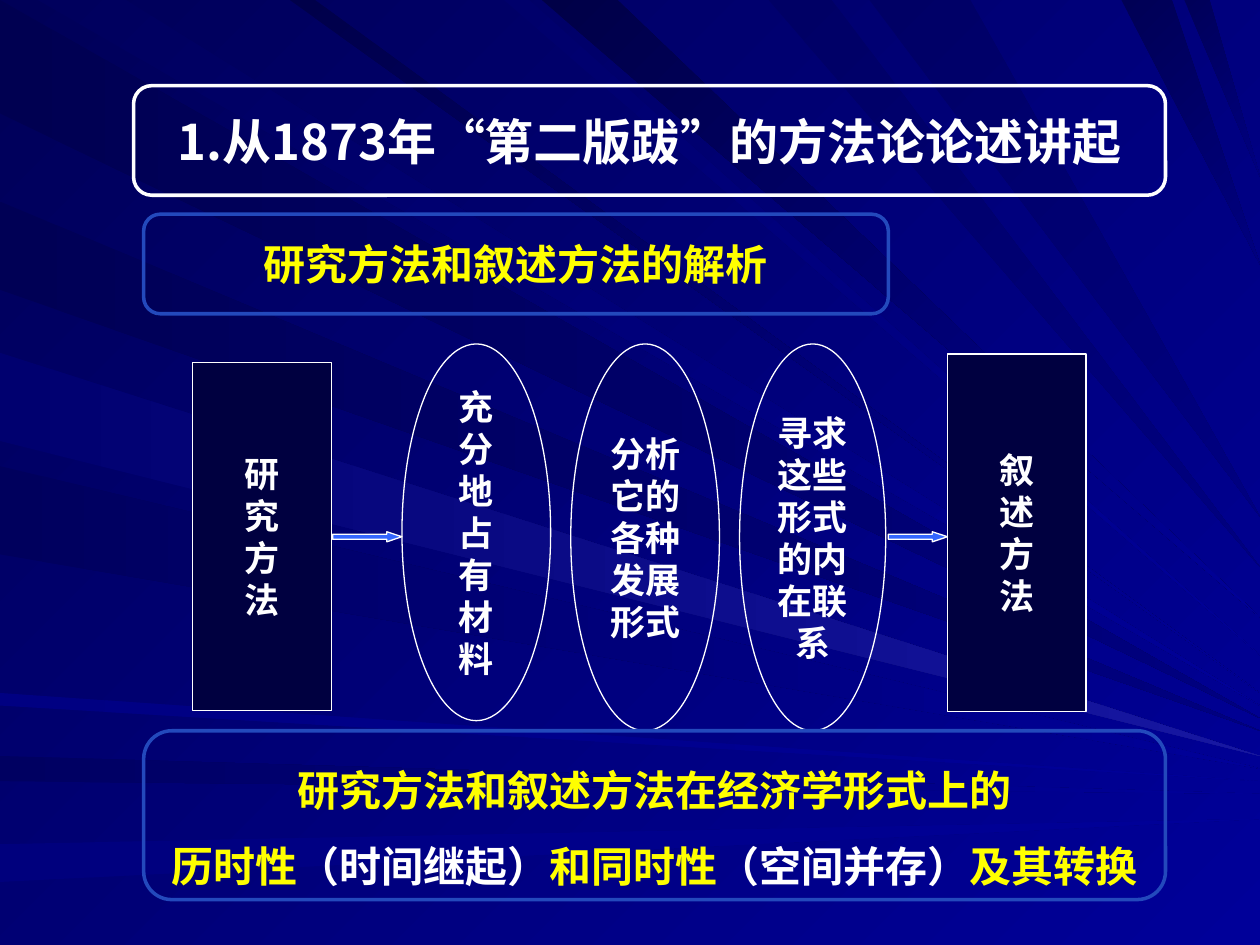
from typing import NamedTuple

from lxml.etree import SubElement
from pptx import Presentation
from pptx.dml.color import RGBColor
from pptx.enum.shapes import MSO_SHAPE
from pptx.enum.text import MSO_ANCHOR, MSO_AUTO_SIZE, PP_ALIGN
from pptx.oxml.ns import qn
from pptx.util import Inches, Pt

WHITE, YELLOW, NAVY, BLUE, FRAME_BLUE = "FFFFFF", "FFFF00", "000040", "3366FF", "2349BC"
CHINESE_FONT = "Noto Sans CJK SC"
PAGE_WIDTH, PAGE_HEIGHT = 10, 7.5


class Ray(NamedTuple):
    """A light ray from a stretch of the left or top edge to a tip on the right edge."""
    begin: float
    finish: float
    tip: float
    start: str
    end: str = "000099"


class Box(NamedTuple):
    kind: MSO_SHAPE
    left: float
    top: float
    width: float
    height: float
    lines: str = ""
    fill: str = ""
    line: str = WHITE
    line_width: float = 0.75


LEFT_RAYS = [
    Ray(0, 0.9, 5.7, "000051", "000080"),
    Ray(6, 6.2, 6.3, "000061"),
    Ray(6.7, 7, 6.5, "00007D"),
    Ray(1.6, 2.3, 5.8, "000055", "000080"),
    Ray(2.8, 3.4, 6, "000061"),
    Ray(3.7, 4.4, 6.1, "00005D"),
    Ray(5.5, 5.6, 6.2, "000082"),
    Ray(2.8, 3.5, 6, "00006F", "1717A2"),
]
TOP_RAYS = [
    Ray(0.3, 1, 5.6, "00005D"),
    Ray(4, 4.2, 5.2, "00006B"),
    Ray(4.3, 4.9, 4.9, "000047"),
    Ray(6.1, 6.6, 4.5, "000065", "000080"),
    Ray(2.3, 2.5, 5.5, "00004A"),
    Ray(6.9, 7.7, 4.1, "000065", "000080"),
    Ray(8.9, 9.3, 2.1, "000055", "000080"),
    Ray(9.4, 9.6, 1.4, "000059", "000080"),
]

STEPS = [
    Box(MSO_SHAPE.RECTANGLE, 1.53, 2.88, 1.1, 2.76, "研\n究\n方\n法", NAVY),
    Box(MSO_SHAPE.RECTANGLE, 7.52, 2.81, 1.1, 2.84, "叙\n述\n方\n法", NAVY),
    Box(MSO_SHAPE.OVAL, 3.19, 2.73, 1.18, 2.99, "充\n分\n地\n占\n有\n材\n料"),
    Box(MSO_SHAPE.OVAL, 5.87, 2.73, 1.16, 3.07, "寻求\n这些\n形式\n的内\n在联\n系"),
    Box(MSO_SHAPE.OVAL, 4.53, 2.73, 1.18, 3.07, "分析\n它的\n各种\n发展\n形式"),
]
ARROWS = [
    Box(MSO_SHAPE.RIGHT_ARROW, 2.64, 4.22, 0.55, 0.08, fill=BLUE),
    Box(MSO_SHAPE.RIGHT_ARROW, 7.05, 4.22, 0.47, 0.08, fill=BLUE),
]
TITLE_FRAME = Box(MSO_SHAPE.ROUNDED_RECTANGLE, 1.06, 0.68, 8.19, 0.87, line_width=2)
SUBTITLE = Box(MSO_SHAPE.ROUNDED_RECTANGLE, 1.14, 1.7, 5.91, 0.79,
               "研究方法和叙述方法的解析", line=FRAME_BLUE, line_width=2)
CONCLUSION = Box(MSO_SHAPE.ROUNDED_RECTANGLE, 1.14, 5.8, 8.11, 1.34,
                 "研究方法和叙述方法在经济学形式上的", line=FRAME_BLUE, line_width=2)
CONCLUSION_SPANS = ["历时性", "（时间继起）", "和同时性", "（空间并存）", "及其转换"]


def rgb(value: str) -> RGBColor:
    return RGBColor.from_string(value)


def fill_gradient(fill, start: str, end: str, angle: int) -> None:
    """Fill from start to end colour, with the angle measured clockwise."""
    fill.gradient()
    fill.gradient_angle = -angle % 360
    for stop, color, position in zip(fill.gradient_stops, (start, end), (0, 1)):
        stop.color.rgb = rgb(color)
        stop.position = position


def draw_ray(group, ray: Ray, from_top: bool) -> None:
    base = [(ray.begin, 0), (ray.finish, 0)] if from_top else [(0, ray.begin), (0, ray.finish)]
    first, *rest = [(Inches(x), Inches(y)) for x, y in [*base, (PAGE_WIDTH, ray.tip)]]
    builder = group.shapes.build_freeform(*first)
    builder.add_line_segments(rest, close=True)
    shape = builder.convert_to_shape()
    shape.shadow.inherit = False
    shape.line.fill.background()
    fill_gradient(shape.fill, ray.start, ray.end, 45 if from_top else 0)


def draw_box(page, box: Box):
    shape = page.shapes.add_shape(box.kind, *map(Inches, box[1:5]))
    shape.shadow.inherit = False
    if box.fill:
        shape.fill.solid()
        shape.fill.fore_color.rgb = rgb(box.fill)
    else:
        shape.fill.background()
    shape.line.color.rgb = rgb(box.line)
    shape.line.width = Pt(box.line_width)
    if box.lines:
        shape.text_frame.text = box.lines
    return shape


def format_text(shape, size: float, color: str, font: str = "Arial", wrap: bool = True) -> None:
    frame = shape.text_frame
    frame.word_wrap = wrap
    frame.auto_size = MSO_AUTO_SIZE.NONE
    frame.vertical_anchor = MSO_ANCHOR.MIDDLE
    for para in frame.paragraphs:
        para.alignment = PP_ALIGN.CENTER
        for span in para.runs:
            span.font.size = Pt(size)
            span.font.bold = True
            span.font.color.rgb = rgb(color)
            span.font.name = font
    for properties in shape.element.iter(qn("a:rPr")):
        SubElement(properties, qn("a:ea"), typeface=CHINESE_FONT)


def draw_title(page) -> None:
    draw_box(page, TITLE_FRAME)
    title = page.shapes.title
    title.left, title.top, title.width, title.height = map(Inches, TITLE_FRAME[1:5])
    title.text_frame.text = "1.从1873年“第二版跋”的方法论论述讲起"
    format_text(title, 28, WHITE, CHINESE_FONT)
    title.element.getparent().append(title.element)  # in front of the rays


def draw_conclusion(page) -> None:
    shape = draw_box(page, CONCLUSION)
    para = shape.text_frame.add_paragraph()
    for text in CONCLUSION_SPANS:
        para.add_run().text = text
    format_text(shape, 24, YELLOW)
    for line in shape.text_frame.paragraphs:
        line.line_spacing = 1.5
    for span in para.runs[1::2]:
        span.font.color.rgb = rgb(WHITE)


def main() -> None:
    deck = Presentation()
    deck.slide_width, deck.slide_height = Inches(PAGE_WIDTH), Inches(PAGE_HEIGHT)
    page = deck.slides.add_slide(deck.slide_layouts[5])
    fill_gradient(page.background.fill, "000058", "000099", 45)
    group = page.shapes.add_group_shape()
    for rays, from_top in ((LEFT_RAYS, False), (TOP_RAYS, True)):
        for ray in rays:
            draw_ray(group, ray, from_top)
    for step in STEPS:
        format_text(draw_box(page, step), 20, WHITE, wrap=False)
    for arrow in ARROWS:
        draw_box(page, arrow).adjustments[1] = 1.5
    draw_title(page)
    format_text(draw_box(page, SUBTITLE), 24, YELLOW)
    draw_conclusion(page)
    deck.save("out.pptx")


if __name__ == "__main__":
    main()
